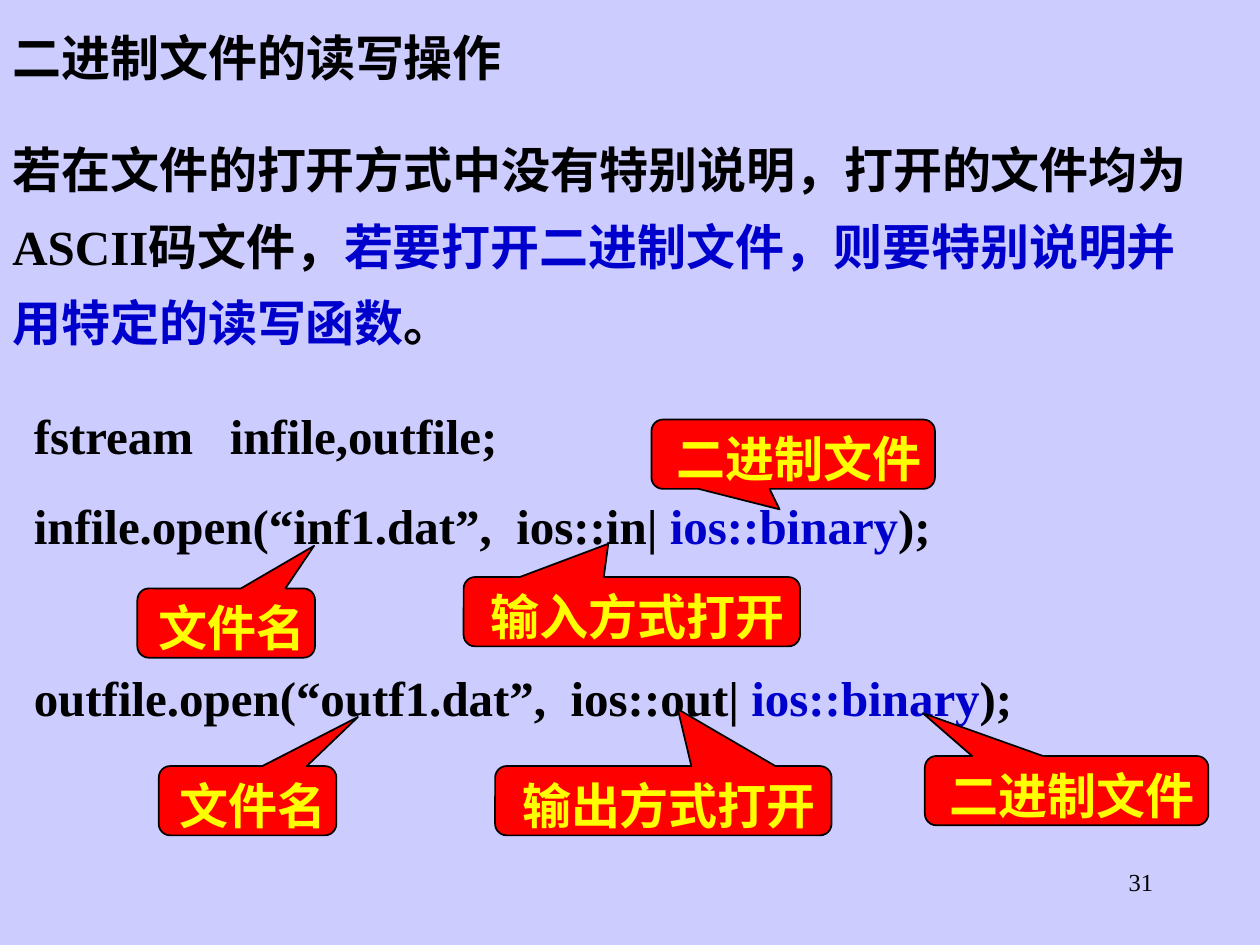
import pptx
import pptx.util
from pptx.dml.color import RGBColor
from pptx.enum.shapes import MSO_SHAPE
from pptx.enum.text import MSO_ANCHOR, MSO_AUTO_SIZE, PP_ALIGN
from pptx.util import Inches

BACKGROUND = RGBColor(0xCC, 0xCC, 0xFF)
BLACK = RGBColor(0, 0, 0)
BLUE = RGBColor(0, 0, 0xCC)
RED = RGBColor(0xFF, 0, 0)
YELLOW = RGBColor(0xFF, 0xFF, 0)

# Content: each paragraph is a list of (text, colour) runs
TITLE = [[("二进制文件的读写操作", BLACK)]]
EXPLANATION = [[
    ("若在文件的打开方式中没有特别说明，打开的文件均为ASCII码文件，", BLACK),
    ("若要打开二进制文件，则要特别说明并用特定的读写函数", BLUE),
    ("。", BLACK),
]]
BINARY_FLAG = [("ios::binary", BLUE), (");", BLACK)]
INPUT_CODE = [
    [("fstream   infile,outfile;", BLACK)],
    [("infile.open(“inf1.dat”,  ios::in| ", BLACK)] + BINARY_FLAG,
]
OUTPUT_CODE = [[("outfile.open(“outf1.dat”,  ios::out| ", BLACK)] + BINARY_FLAG]
PAGE_NUMBER = [[("31", BLACK)]]

# Callouts: text, left, top, width, pointer offset from centre (share of size)
CALLOUT_HEIGHT = 0.55
CALLOUTS = [
    (" 文件名", 1.09, 4.67, 1.41, (0.495, -1.116)),
    (" 输入方式打开", 3.68, 4.58, 2.67, (-0.07, -0.981)),
    (" 二进制文件", 5.17, 3.33, 2.25, (-0.048, 0.796)),
    (" 文件名", 1.26, 6.08, 1.41, (0.622, -1.209)),
    (" 输出方式打开", 3.93, 6.08, 2.67, (0.043, -1.322)),
    (" 二进制文件", 7.34, 6, 2.25, (-0.507, -1.118)),
]


def write(shape, paragraphs, size=28, bold=True, align=PP_ALIGN.LEFT,
          spacing=1.0, wrap=True, margins=(0.1, 0.05), anchor=MSO_ANCHOR.TOP,
          auto_size=MSO_AUTO_SIZE.SHAPE_TO_FIT_TEXT):
    tf = shape.text_frame
    tf.word_wrap = wrap
    tf.auto_size = auto_size
    tf.vertical_anchor = anchor
    tf.margin_left = tf.margin_right = Inches(margins[0])
    tf.margin_top = tf.margin_bottom = Inches(margins[1])
    for i, runs in enumerate(paragraphs):
        p = tf.add_paragraph() if i else tf.paragraphs[0]
        p.alignment = align
        p.line_spacing = spacing
        p.space_before = pptx.util.Pt(17.5 if i else 0)
        for text, color in runs:
            r = p.add_run()
            r.text = text
            r.font.name = "Times New Roman"
            r.font.size = pptx.util.Pt(size)
            r.font.bold = bold
            r.font.color.rgb = color


def add_text(s, left, top, width, height, paragraphs, **fmt):
    box = s.shapes.add_textbox(*map(Inches, (left, top, width, height)))
    write(box, paragraphs, **fmt)


def add_callout(s, text, left, top, width, pointer):
    sp = s.shapes.add_shape(MSO_SHAPE.ROUNDED_RECTANGULAR_CALLOUT,
                            *map(Inches, (left, top, width, CALLOUT_HEIGHT)))
    sp.adjustments[0], sp.adjustments[1] = pointer
    sp.shadow.inherit = False
    sp.fill.solid()
    sp.fill.fore_color.rgb = RED
    sp.line.color.rgb = BLACK
    sp.line.width = pptx.util.Pt(1)
    write(sp, [[(text, YELLOW)]], align=PP_ALIGN.CENTER, spacing=1.1,
          wrap=False, margins=(0.02, 0))


def main():
    prs = pptx.Presentation()
    prs.slide_width, prs.slide_height = Inches(10), Inches(7.5)
    s = prs.slides.add_slide(prs.slide_layouts[5])
    s.background.fill.solid()
    s.background.fill.fore_color.rgb = BACKGROUND

    # Title
    title = s.shapes.title
    title.left, title.top = Inches(0), Inches(0.17)
    title.width, title.height = Inches(9.75), Inches(0.57)
    write(title, TITLE)

    # Explanation, code and page number
    add_text(s, 0, 0.92, 9.75, 1.92, EXPLANATION, spacing=1.3)
    add_text(s, 0.17, 3.17, 9, 1.28, INPUT_CODE)
    add_text(s, 0.17, 5.25, 9, 0.57, OUTPUT_CODE)
    add_text(s, 7.17, 6.83, 2.08, 0.5, PAGE_NUMBER, size=14, bold=False,
             align=PP_ALIGN.RIGHT, auto_size=MSO_AUTO_SIZE.NONE)

    # Callouts pointing at parts of the code
    for callout in CALLOUTS:
        add_callout(s, *callout)

    prs.save("out.pptx")


if __name__ == "__main__":
    main()
